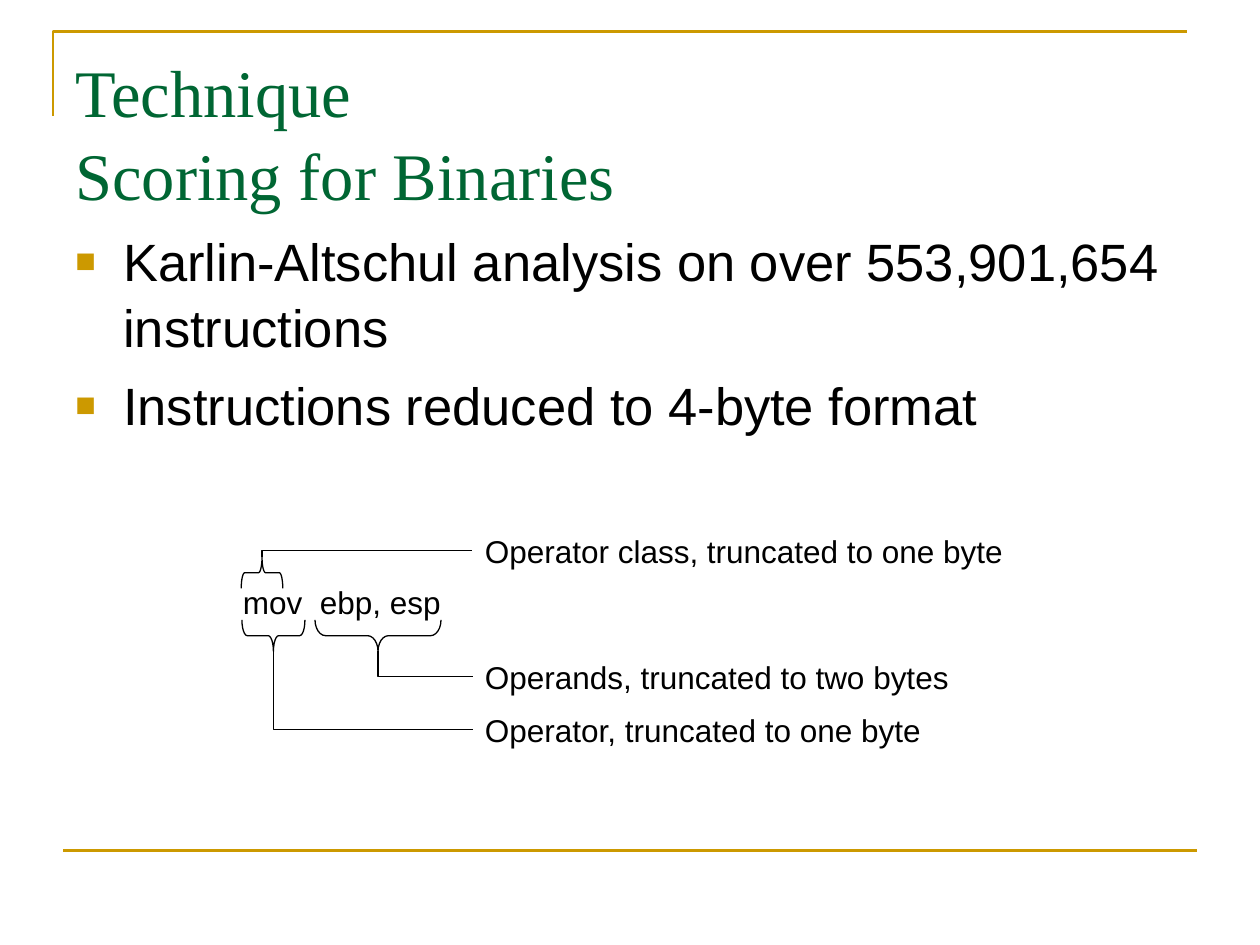
"""Build the slide on scoring for binaries."""
from dataclasses import dataclass

from lxml import etree
from pptx import Presentation
from pptx import util as u
from pptx.dml.color import RGBColor
from pptx.enum import shapes, text
from pptx.oxml import ns

HUES = {"gold": "CC9900", "green": "006633", "black": "000000"}
TITLE = {"name": "Times New Roman", "size": u.Pt(38)}
BODY = {"name": "Arial", "size": u.Pt(30)}
LABEL = {"name": "Arial", "size": u.Pt(18)}
WIDE = {"line_spacing": 1.045}
ITEM = {"line_spacing": 1.045, "space_before": u.Pt(7.5)}
DEPTH = 0.25


@dataclass
class Part:
    """A brace with its tip, its span and the labelled line from its tip."""
    x: float
    y: float
    span: float
    end: float
    note: str
    down: bool = True


PARTS = [
    Part(3, 5.17, 1, 5.37, "Operands, truncated to two bytes"),
    Part(2.17, 5.17, 0.5, 5.79, "Operator, truncated to one byte"),
    Part(2.08, 4.42, 0.33, 4.37, "Operator class, truncated to one byte", False),
]


def apply(item: object, form: dict) -> None:
    """Set each attribute in the format."""
    for key, val in form.items():
        setattr(item, key, val)


def tint(line, hue: str, width: float) -> None:
    """Colour a line and set its width."""
    line.color.rgb = RGBColor.from_string(HUES[hue])
    line.width = u.Pt(width)


def write(slide, box: tuple, lines: list, font: dict, hue: str = "black",
          para: dict = {}, frame: dict = {}):
    """Add a text box and return its paragraphs."""
    tf = slide.shapes.add_textbox(*map(u.Inches, box)).text_frame
    apply(tf, {"word_wrap": True, "vertical_anchor": text.MSO_ANCHOR.TOP, **frame})
    tf.text = "\n".join(lines)
    for p in tf.paragraphs:
        apply(p, para)
        for run in p.runs:
            apply(run.font, font)
            run.font.color.rgb = RGBColor.from_string(HUES[hue])
    return tf.paragraphs


def bullet(p) -> None:
    """Give a paragraph a hanging gold square."""
    pr = p._p.get_or_add_pPr()
    pr.set("marL", str(u.Inches(0.38)))
    pr.set("indent", str(u.Inches(-0.38)))
    hue = etree.SubElement(pr, ns.qn("a:buClr"))
    etree.SubElement(hue, ns.qn("a:srgbClr"), val=HUES["gold"])
    etree.SubElement(pr, ns.qn("a:buSzPct"), val="65000")
    etree.SubElement(pr, ns.qn("a:buFont"), typeface="Arial")
    etree.SubElement(pr, ns.qn("a:buChar"), char="■")


def join(slide, kind, ends: tuple, hue: str, width: float):
    """Add a connector without a shadow."""
    link = slide.shapes.add_connector(kind, *map(u.Inches, ends))
    tint(link.line, hue, width)
    etree.SubElement(link.element.spPr, ns.qn("a:effectLst"))
    return link


def brace(slide, part: Part) -> None:
    """Draw a brace that points up or down to its tip."""
    mid = part.y + (-DEPTH if part.down else DEPTH) / 2
    box = (part.x - DEPTH / 2, mid - part.span / 2, DEPTH, part.span)
    shape = slide.shapes.add_shape(shapes.MSO_SHAPE.RIGHT_BRACE, *map(u.Inches, box))
    shape.rotation = 90 if part.down else 270
    shape.adjustments[0] = part.span / DEPTH / 12
    shape.shadow.inherit = False
    shape.fill.background()
    tint(shape.line, "black", 0.75)


def elbow(slide, part: Part, right: float = 3.75) -> None:
    """Draw a one-bend connector from a brace tip to its label."""
    run, rise = right - part.x, abs(part.end - part.y)
    mx, my = (right + part.x) / 2, (part.end + part.y) / 2
    half = run / 2 if part.down else -run / 2
    ends = (mx + rise / 2, my - half, mx - rise / 2, my + half)
    link = join(slide, shapes.MSO_CONNECTOR.ELBOW, ends, "black", 0.75)
    link.element.xpath(".//a:prstGeom")[0].set("prst", "bentConnector2")
    turn = 270 if part.down else 90
    link.element.xpath(".//a:xfrm")[0].set("rot", str(turn * 60000))


def border(slide) -> None:
    """Draw the gold corner and the bottom rule."""
    pen = slide.shapes.build_freeform(u.Inches(0.42), u.Inches(0.92))
    pen.add_line_segments([(u.Inches(x), u.Inches(0.25)) for x in (0.42, 9.42)], close=False)
    edge = pen.convert_to_shape()
    edge.shadow.inherit = False
    edge.fill.background()
    tint(edge.line, "gold", 1.5)
    join(slide, shapes.MSO_CONNECTOR.STRAIGHT, (0.5, 6.75, 9.5, 6.75), "gold", 1.5)


def main() -> None:
    """Build and save the slide."""
    deck = Presentation()
    deck.slide_width, deck.slide_height = u.Inches(10), u.Inches(7.5)
    slide = deck.slides.add_slide(deck.slide_layouts[6])
    border(slide)
    write(slide, (0.5, 0.3, 9, 1.25), ["Technique\vScoring for Binaries"], TITLE,
          "green", WIDE, {"margin_top": u.Inches(0.08)})
    items = ["Karlin-Altschul analysis on over 553,901,654 instructions",
             "Instructions reduced to 4-byte format"]
    for p in write(slide, (0.5, 1.75, 9, 4.95), items, BODY, para=ITEM):
        bullet(p)
    write(slide, (1.83, 4.58, 1.92, 0.4), ["mov  ebp, esp"], LABEL)
    for part in PARTS:
        brace(slide, part)
        write(slide, (3.75, part.end - 0.2, 4.42, 0.4), [part.note], LABEL)
        elbow(slide, part)
    deck.save("out.pptx")


if __name__ == "__main__":
    main()
